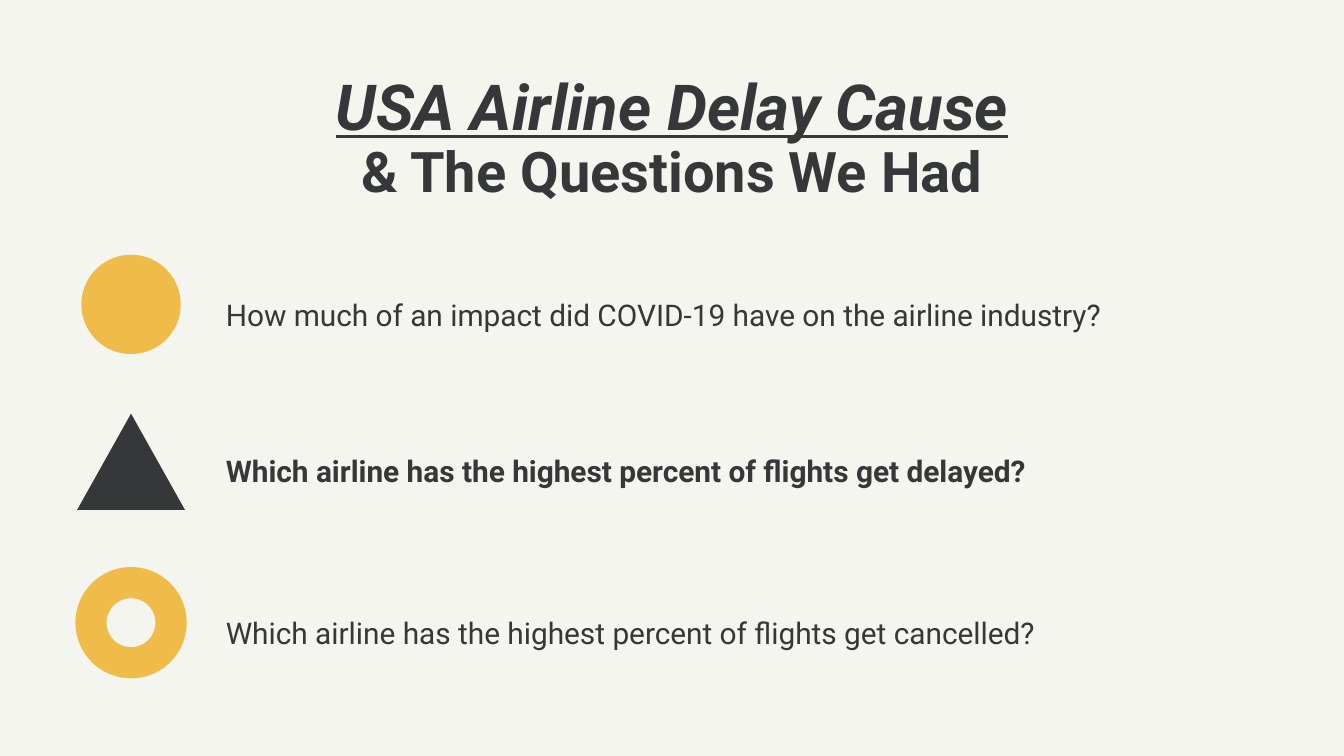
"""Build the slide that lists the questions on airline delays."""
from pptx import Presentation
from pptx.dml.color import RGBColor
from pptx.enum.shapes import MSO_SHAPE
from pptx.enum.text import MSO_ANCHOR, MSO_AUTO_SIZE, PP_ALIGN
from pptx.util import Pt

COLORS = {"background": "F5F5EF", "dark": "363739", "yellow": "EFBC49"}
FONT = "Roboto"
MARKER_CENTER = 70.2


def add_run(paragraph, text, size, bold=False, slanted=False):
    run = paragraph.add_run()
    run.text = text
    run.font.name = FONT
    run.font.size = Pt(size)
    run.font.bold = bold
    run.font.italic = slanted
    run.font.underline = slanted
    run.font.color.rgb = RGBColor.from_string(COLORS["dark"])


def prepare_frame(text_frame):
    text_frame.margin_left = text_frame.margin_right = 0
    text_frame.margin_top = text_frame.margin_bottom = 0
    text_frame.word_wrap = True
    text_frame.auto_size = MSO_AUTO_SIZE.NONE
    text_frame.vertical_anchor = MSO_ANCHOR.TOP


presentation = Presentation()
presentation.slide_width = Pt(720)
presentation.slide_height = Pt(405)
slide = presentation.slides.add_slide(presentation.slide_layouts[5])
slide.background.fill.solid()
slide.background.fill.fore_color.rgb = RGBColor.from_string(COLORS["background"])

title = slide.shapes.title
title.left, title.top, title.width, title.height = Pt(0), Pt(40.5), Pt(720), Pt(57)
prepare_frame(title.text_frame)
title_lines = [("USA Airline Delay Cause", 34, True), ("& The Questions We Had", 30, False)]
for index, (text, size, slanted) in enumerate(title_lines):
    paragraph = title.text_frame.paragraphs[0] if index == 0 else title.text_frame.add_paragraph()
    paragraph.alignment = PP_ALIGN.CENTER
    paragraph.line_spacing = 0.9
    paragraph.space_before = Pt(0)
    add_run(paragraph, text, size, bold=True, slanted=slanted)

questions = [
    ("How much of an impact did COVID-19 have on the airline industry?", 151.2, False,
     MSO_SHAPE.OVAL, 136.5, 53.2, 53.2, "yellow"),
    ("Which airline has the highest percent of flights get delayed?", 234.7, True,
     MSO_SHAPE.ISOSCELES_TRIANGLE, 221.6, 57.8, 51.6, "dark"),
    ("Which airline has the highest percent of flights get cancelled?", 321.8, False,
     MSO_SHAPE.DONUT, 303.8, 59.6, 59.6, "yellow"),
]
for text, text_top, bold, marker_kind, marker_top, width, height, color in questions:
    marker = slide.shapes.add_shape(
        marker_kind, Pt(MARKER_CENTER - width / 2), Pt(marker_top), Pt(width), Pt(height))
    marker.shadow.inherit = False
    marker.fill.solid()
    marker.fill.fore_color.rgb = RGBColor.from_string(COLORS[color])
    marker.line.fill.background()
    if marker_kind == MSO_SHAPE.DONUT:
        marker.adjustments[0] = 0.28

    question = slide.shapes.add_textbox(Pt(121), Pt(text_top), Pt(528.5), Pt(19.4))
    prepare_frame(question.text_frame)
    paragraph = question.text_frame.paragraphs[0]
    paragraph.line_spacing = 1.4
    add_run(paragraph, text, 16, bold=bold)

presentation.save("out.pptx")
